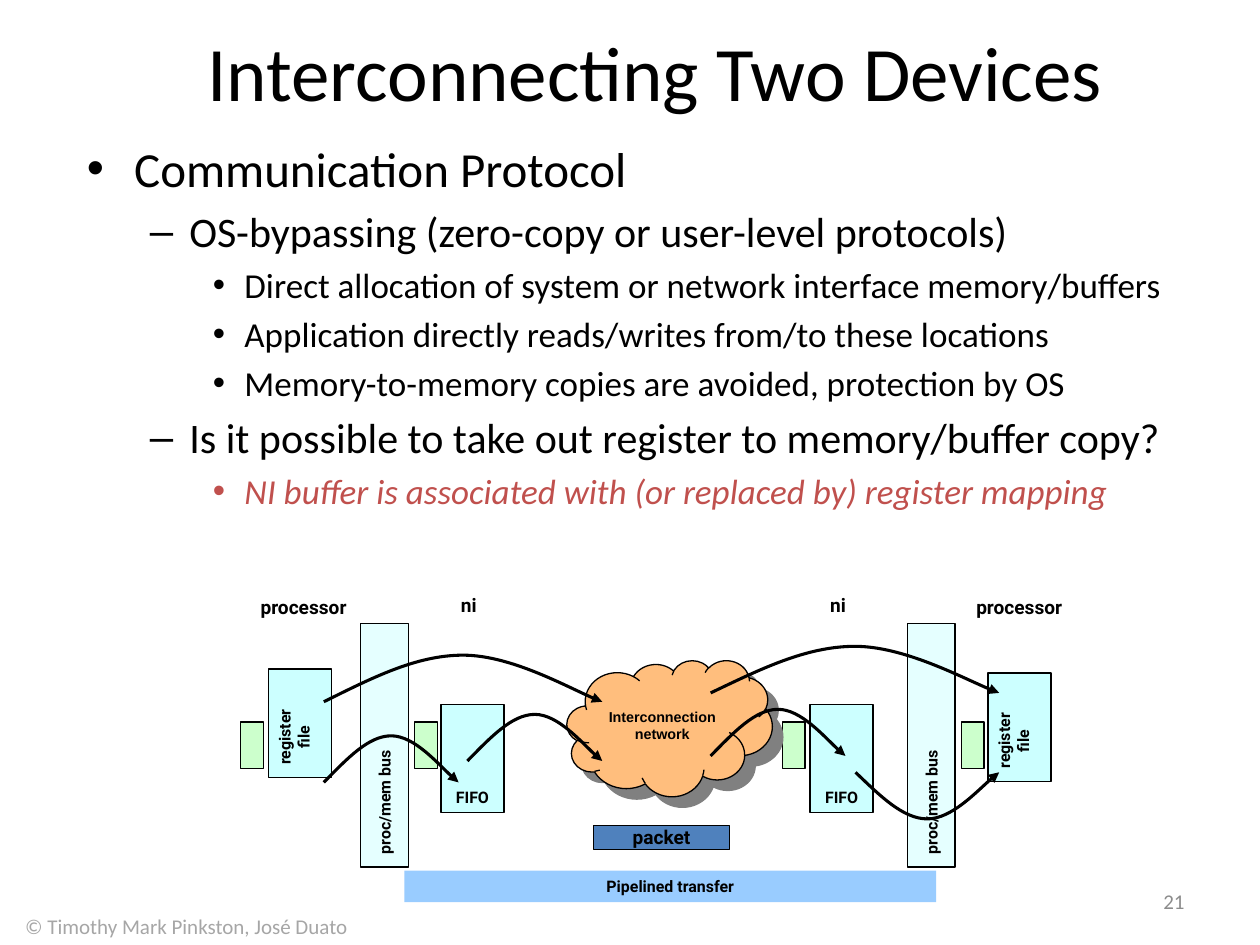
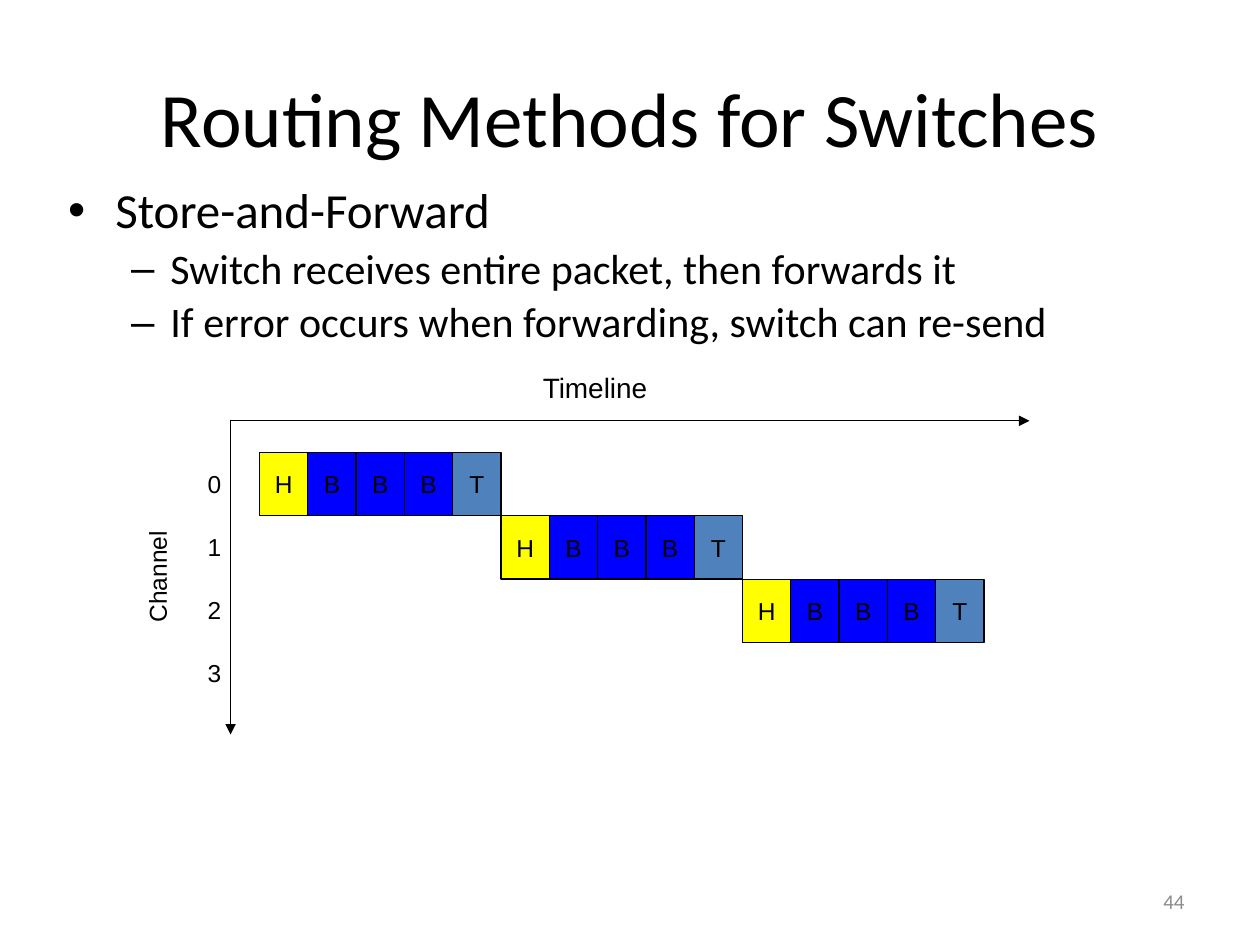
from dataclasses import dataclass

from pptx import Presentation
from pptx.dml.color import RGBColor
from pptx.enum.shapes import MSO_CONNECTOR as Conn, MSO_SHAPE as Kind
from pptx.enum.text import MSO_ANCHOR as Anchor, MSO_AUTO_SIZE as Fit, PP_ALIGN as Align
from pptx.oxml.ns import qn
from pptx.util import Inches, Pt
from lxml.etree import SubElement

# Shared colours, fonts and sizes
BLACK, RED, GRAY, PALE = "000000", "C0504D", "8C8C8C", "A6A6A6"
CYAN, GREEN, PEACH, SHADE = "CCFFFF", "CCFFCC", "FFBE7D", "808080"
STEEL, SKY, YELLOW, BLUE = "4F81BD", "99CCFF", "FFFF00", "0000FF"
BODY, LABEL, PLAIN = "Calibri", "Roboto", "Arial"
LEVELS = (28, 24, 20)
SMALL, LARGE = 9.1, 10.9
PAD = (0.1, 0.05)
TURNED = (0.05, 0.1)
TIGHT = (0, 0)


@dataclass
class Item:
    text: str
    level: int = 0
    color: str = BLACK
    italic: bool = False


@dataclass
class Box:
    left: float
    top: float
    width: float
    height: float
    fill: str = ""
    text: str = ""
    size: float = SMALL
    font: str = LABEL
    bold: bool = True
    line: bool = True
    anchor: Anchor = Anchor.MIDDLE
    wrap: bool = False
    upward: bool = False
    alpha: int = 100
    kind: Kind = Kind.RECTANGLE


@dataclass
class Arc:
    left: float
    base: float
    width: float
    rise: float = 0.37


def paint(hue: str) -> RGBColor:
    return RGBColor.from_string(hue)


def place(shape, left: float, top: float, width: float, height: float) -> None:
    shape.left, shape.top = Inches(left), Inches(top)
    shape.width, shape.height = Inches(width), Inches(height)


def write(shape, text: str, *, size: float, font: str = BODY, color: str = BLACK,
          bold: bool = False, align=Align.LEFT, anchor=Anchor.TOP, pad=PAD,
          wrap: bool = True, before=None, spacing=None) -> None:
    """Fill a shape with one paragraph per line of text."""
    frame = shape.text_frame
    frame.text = text
    frame.word_wrap, frame.auto_size = wrap, Fit.NONE
    frame.vertical_anchor = anchor
    frame.margin_left = frame.margin_right = Inches(pad[0])
    frame.margin_top = frame.margin_bottom = Inches(pad[1])
    for row, para in enumerate(frame.paragraphs):
        para.alignment = align
        if spacing:
            para.line_spacing = spacing
        if before and row:
            para.space_before = Pt(before)
        face = para.runs[0].font
        face.size, face.name, face.bold = Pt(size), font, bold
        face.color.rgb = paint(color)


def label(slide, text: str, left: float, top: float, width: float, height: float,
          **style):
    box = slide.shapes.add_textbox(0, 0, 0, 0)
    write(box, text, **style)
    place(box, left, top, width, height)
    return box


def draw(slide, box: Box):
    shape = slide.shapes.add_shape(
        box.kind, Inches(box.left), Inches(box.top), Inches(box.width), Inches(box.height))
    shape.shadow.inherit = False
    shape.fill.solid()
    shape.fill.fore_color.rgb = paint(box.fill)
    if box.alpha < 100:
        hue = shape._element.spPr.find(".//" + qn("a:srgbClr"))
        SubElement(hue, qn("a:alpha")).set("val", str(box.alpha * 1000))
    if box.line:
        shape.line.color.rgb = paint(BLACK)
        shape.line.width = Pt(0.75)
    else:
        shape.line.fill.background()
    if box.text:
        write(shape, box.text, size=box.size, font=box.font, bold=box.bold,
              align=Align.CENTER, anchor=box.anchor, wrap=box.wrap,
              pad=TURNED if box.upward else PAD)
    if box.upward:
        shape.rotation = 180
        shape.text_frame._txBody.bodyPr.set("vert", "eaVert")
    return shape


def tip(shape, width: float) -> None:
    """Black line that ends in an arrowhead."""
    shape.line.color.rgb = paint(BLACK)
    shape.line.width = Pt(width)
    line = shape._element.spPr.find(qn("a:ln"))
    SubElement(line, qn("a:tailEnd")).set("type", "triangle")


def bend(slide, arc: Arc) -> None:
    """Curved arrow: two Bezier spans that meet at the top of the arc."""
    steps = ((0.17, 0.5), (0.33, 1), (0.5, 1), (0.67, 1), (0.92, 0.17), (1, 0))
    points = [(Inches(arc.left + arc.width * x), Inches(arc.base - arc.rise * y))
              for x, y in steps]
    outline = slide.shapes.build_freeform(Inches(arc.left), Inches(arc.base))
    outline.add_line_segments(points, close=False)
    shape = outline.convert_to_shape()
    track = shape._element.spPr.find(".//" + qn("a:path"))
    lines = track.findall(qn("a:lnTo"))
    for first in (0, 3):
        curve = SubElement(track, qn("a:cubicBezTo"))
        for part in lines[first:first + 3]:
            curve.append(part[0])
            track.remove(part)
    shape.fill.background()
    shape.shadow.inherit = False
    tip(shape, 1.75)


def axis(slide, x1: float, y1: float, x2: float, y2: float) -> None:
    line = slide.shapes.add_connector(
        Conn.STRAIGHT, Inches(x1), Inches(y1), Inches(x2), Inches(y2))
    tip(line, 0.75)
    SubElement(line._element.spPr, qn("a:effectLst"))


def start(deck, title: str, items: list[Item], page: int, head: tuple, area: tuple,
          pad=PAD, spacing=None):
    """Slide with title, bullet list and page number."""
    slide = deck.slides.add_slide(deck.slide_layouts[1])
    name, body = slide.placeholders
    place(name, *head)
    write(name, title, size=44, align=Align.CENTER, anchor=Anchor.MIDDLE, pad=pad)
    place(body, *area)
    write(body, "\n".join(item.text for item in items), size=LEVELS[0], pad=pad,
          spacing=spacing)
    for para, item in zip(body.text_frame.paragraphs, items):
        para.level = item.level
        face = para.runs[0].font
        face.size, face.italic = Pt(LEVELS[item.level]), item.italic
        face.color.rgb = paint(item.color)
    label(slide, str(page), 7.17, 6.95, 2.33, 0.4, size=12, color=GRAY,
          align=Align.RIGHT, anchor=Anchor.MIDDLE)
    return slide


def devices(deck) -> None:
    items = [
        Item("Communication Protocol"),
        Item("OS-bypassing (zero-copy or user-level protocols)", 1),
        Item("Direct allocation of system or network interface memory/buffers", 2),
        Item("Application directly reads/writes from/to these locations", 2),
        Item("Memory-to-memory copies are avoided, protection by OS", 2),
        Item("Is it possible to take out register to memory/buffer copy?", 1),
        Item("NI buffer is associated with (or replaced by) register mapping", 2, RED, True),
    ]
    slide = start(deck, "Interconnecting Two Devices", items, 21,
                  (0.73, 0.19, 8.94, 0.74), (0.69, 1.1, 9.18, 3.06), pad=TIGHT)

    # Buses, register files, buffers and FIFOs on both sides
    for left in (2.86, 7.2):
        draw(slide, Box(left, 4.95, 0.38, 1.93, CYAN, "proc/mem bus",
                        upward=True, alpha=50))
    for left in (1.91, 3.29, 6.21, 7.63):
        draw(slide, Box(left, 5.73, 0.18, 0.37, GREEN))
    for left, top in ((2.13, 5.31), (7.84, 5.34)):
        draw(slide, Box(left, top, 0.5, 0.86, CYAN, "register\nfile",
                        anchor=Anchor.TOP, upward=True))
    for left in (3.5, 6.43):
        draw(slide, Box(left, 5.59, 0.5, 0.86, CYAN, "FIFO", anchor=Anchor.BOTTOM))
    for text, left, top, width in (("processor", 1.97, 4.68, 1.1), ("ni", 3.56, 4.66, 0.5),
                                   ("ni", 6.49, 4.66, 0.5), ("processor", 7.65, 4.68, 1.1)):
        label(slide, text, left, top, width, 0.28, size=LARGE, font=LABEL, bold=True)

    # Network cloud with its shadow
    cloud = draw(slide, Box(4.5, 5.24, 1.63, 1.08, PEACH, "Interconnection\nnetwork",
                            8.2, PLAIN, wrap=True, kind=Kind.CLOUD))
    effects = cloud._element.spPr.find(qn("a:effectLst"))
    shadow = SubElement(effects, qn("a:outerShdw"), dist=str(Pt(8.5)), dir="2700000",
                        algn="ctr", rotWithShape="0")
    SubElement(shadow, qn("a:srgbClr")).set("val", SHADE)

    # Packet and transfer bar
    draw(slide, Box(4.71, 6.55, 1.08, 0.19, STEEL, "packet", LARGE))
    draw(slide, Box(3.21, 6.91, 4.22, 0.25, SKY, "Pipelined transfer", line=False,
                    anchor=Anchor.TOP, wrap=True))

    # Data paths
    for arc in (Arc(5.64, 6, 1.07), Arc(3.71, 6.04, 1.07), Arc(2.57, 6.21, 1.07),
                Arc(6.79, 6.13, 1.14, -0.37), Arc(2.57, 5.57, 2.21), Arc(5.64, 5.5, 2.29)):
        bend(slide, arc)

    label(slide, "© Timothy Mark Pinkston, José Duato", -0.04, 7.22, 3.04, 0.28,
          size=12, color=PALE, align=Align.CENTER, spacing=0.9)


def routing(deck) -> None:
    items = [
        Item("Store-and-Forward"),
        Item("Switch receives entire packet, then forwards it", 1),
        Item("If error occurs when forwarding, switch can re-send", 1),
    ]
    slide = start(deck, "Routing Methods for Switches", items, 44,
                  (0.5, 0.3, 9, 1.25), (0.44, 1.43, 8.81, 5.48), spacing=0.9)

    # Packets: each starts when the one before has fully arrived
    flits, hops = "HBBBT", 3
    fills = {"H": YELLOW, "B": BLUE, "T": STEEL}
    wide, high = 5.75 / (hops * len(flits)), 1.51 / hops
    for row in range(hops):
        for col, flit in enumerate(flits):
            draw(slide, Box(2.06 + (row * len(flits) + col) * wide, 3.59 + row * high,
                            wide, high, fills[flit], flit, 14, PLAIN, bold=False))

    # Axes and their labels
    label(slide, "Timeline", 4.21, 2.89, 1.2, 0.37, size=16, font=PLAIN)
    side = label(slide, "Channel", 0.69, 4.31, 1.12, 0.34, size=14, font=PLAIN)
    side.rotation = 270
    label(slide, "0\n1\n2\n3", 1.55, 3.67, 0.4, 1.85, size=14, font=PLAIN, before=19.2)
    axis(slide, 1.83, 3.34, 8.17, 3.34)
    axis(slide, 1.83, 3.33, 1.83, 5.83)


def main() -> None:
    deck = Presentation()
    deck.slide_width, deck.slide_height = Inches(10), Inches(7.5)
    devices(deck)
    routing(deck)
    deck.save("out.pptx")


if __name__ == "__main__":
    main()
